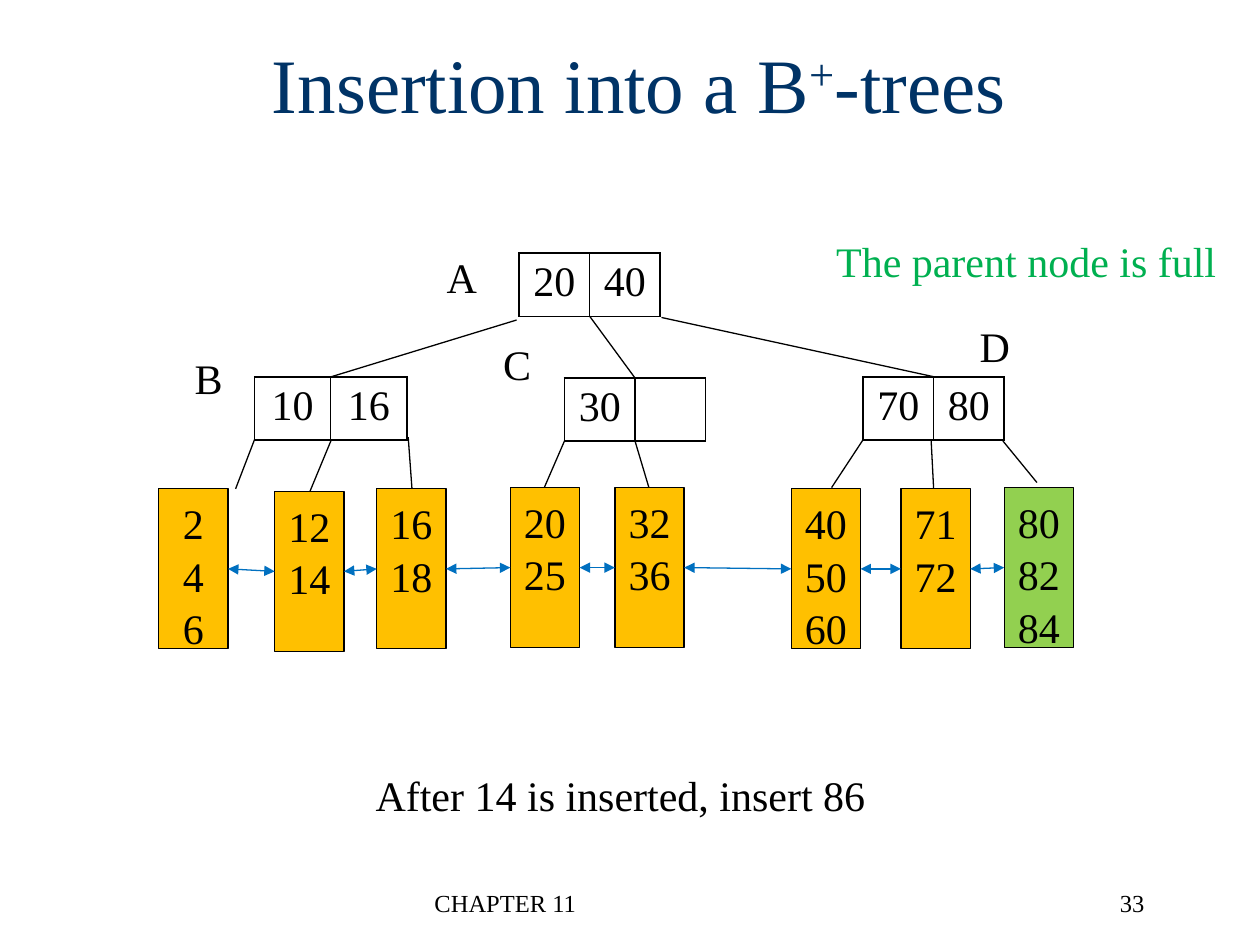
from itertools import pairwise

from lxml import etree
from pptx import Presentation
from pptx import util as u
from pptx.dml.color import RGBColor
from pptx.enum import shapes, text
from pptx.oxml import ns

COLORS = {"ink": "000000", "title": "003366", "paper": "FFFFFF", "leaf": "FFC000",
          "new_leaf": "92D050", "chain": "0070C0", "remark": "00B050"}
RGB = {name: RGBColor.from_string(value) for name, value in COLORS.items()}
LEFT, CENTER, RIGHT = text.PP_ALIGN.LEFT, text.PP_ALIGN.CENTER, text.PP_ALIGN.RIGHT

prs = Presentation()
prs.slide_width, prs.slide_height = u.Inches(10), u.Inches(7.5)
slide = prs.slides.add_slide(prs.slide_layouts[6])

# The slide is a grid of 100 columns by 75 rows of square cells.
CELL = prs.slide_width // 100


def write(paragraph, words, size=24, color="ink", align=CENTER):
    """Add one run in the slide's typeface and return it."""
    paragraph.alignment = align
    run = paragraph.add_run()
    run.text = words
    run.font.name = "Times New Roman"
    run.font.size = u.Pt(size)
    run.font.color.rgb = RGB[color]
    return run


def connect(x1, y1, x2, y2, color="ink", arrows=False):
    line = slide.shapes.add_connector(
        shapes.MSO_CONNECTOR.STRAIGHT, *(int(v * CELL) for v in (x1, y1, x2, y2)))
    line.line.color.rgb = RGB[color]
    line.line.width = u.Pt(0.75)
    if arrows:
        for end in ("a:headEnd", "a:tailEnd"):
            etree.SubElement(line.line._get_or_add_ln(), ns.qn(end), type="triangle")
    etree.SubElement(line._element.spPr, ns.qn("a:effectLst"))


# Title
title = slide.shapes.add_textbox(*(int(v * CELL) for v in (6.4, 0.3, 88.6, 12.5))).text_frame
title.word_wrap = True
title.vertical_anchor = text.MSO_ANCHOR.MIDDLE
for part, baseline in (("Insertion into a B", 0), ("+", 30000), ("-trees", 0)):
    run = write(title.paragraphs[0], part, 44, "title")
    if baseline:
        run.font._element.set("baseline", str(baseline))

# Node names, remarks and footer
for words, x, y, w, size, color, align in (
        ("A", 34.4, 19.3, 4.5, 24, "ink", CENTER),
        ("B", 14.4, 27.3, 4.3, 24, "ink", CENTER),
        ("C", 38.9, 26.2, 4.3, 24, "ink", CENTER),
        ("D", 76.7, 24.7, 4.5, 24, "ink", CENTER),
        ("The parent node is full", 65.2, 18, 32.5, 24, "remark", CENTER),
        ("After 14 is inserted, insert 86", 28.6, 60.4, 41.3, 24, "ink", CENTER),
        ("CHAPTER 11", 33.5, 69.8, 31.7, 14, "ink", LEFT),
        ("33", 71, 69.8, 20.8, 14, "ink", RIGHT)):
    frame = slide.shapes.add_textbox(*(int(v * CELL) for v in (x, y, w, 5))).text_frame
    frame.word_wrap = True
    frame.margin_top = int(0.7 * CELL)
    write(frame.paragraphs[0], words, size, color, align)

# Inner nodes: one row of two keys each
for keys, x, y, w, h in ((("20", "40"), 41.2, 20.1, 11.2, 4.7),
                         (("10", "16"), 20.2, 29.9, 12.1, 4.7),
                         (("30", ""), 44.8, 30, 11.2, 5),
                         (("70", "80"), 68.5, 29.9, 11.2, 4.7)):
    node = slide.shapes.add_table(1, 2, *(int(v * CELL) for v in (x, y, w, h))).table
    node.first_row = node.horz_banding = False
    for cell, key in zip(node.iter_cells(), keys):
        for side in ("a:lnL", "a:lnR", "a:lnT", "a:lnB"):
            border = etree.SubElement(cell._tc.get_or_add_tcPr(), ns.qn(side),
                                      w=str(u.Pt(1)))
            ink = etree.SubElement(border, ns.qn("a:solidFill"))
            etree.SubElement(ink, ns.qn("a:srgbClr"), val=COLORS["ink"])
        cell.fill.solid()
        cell.fill.fore_color.rgb = RGB["paper"]
        if key:
            write(cell.text_frame.paragraphs[0], key)

# Edges from parent to child
for edge in ((41, 25.4, 26.3, 29.9), (46.8, 25.1, 50.4, 30), (52.5, 25.2, 74.1, 29.9),
             (20.2, 34.9, 18.7, 38.8), (26.3, 34.9, 24.6, 39), (32.4, 34.7, 32.7, 38.8),
             (44.8, 35, 43.2, 38.7), (50.4, 35, 51.5, 38.7),
             (68.5, 34.9, 66, 38.7), (73.9, 34.9, 74.1, 38.8), (79.6, 35, 82.3, 38.3)):
    connect(*edge)

# Leaves, chained from left to right
LEAF_W, LEAF_H = 5.5, 12.7
leaves = ((12.6, 38.8, "2 4 6"), (21.8, 39, "12 14"), (29.9, 38.8, "16 18"),
          (40.5, 38.7, "20 25"), (48.8, 38.7, "32 36"), (62.8, 38.8, "40 50 60"),
          (71.5, 38.8, "71 72"), (79.7, 38.7, "80 82 84"))
for x, y, keys in leaves:
    leaf = slide.shapes.add_shape(shapes.MSO_SHAPE.RECTANGLE,
                                  *(int(v * CELL) for v in (x, y, LEAF_W, LEAF_H)))
    leaf.shadow.inherit = False
    leaf.fill.solid()
    leaf.fill.fore_color.rgb = RGB["new_leaf" if (x, y, keys) == leaves[-1] else "leaf"]
    leaf.line.color.rgb = RGB["ink"]
    leaf.line.width = u.Pt(0.75)
    frame = leaf.text_frame
    frame.word_wrap = False
    frame.vertical_anchor = text.MSO_ANCHOR.TOP
    frame.margin_top, frame.margin_bottom = int(0.7 * CELL), 0
    for row, key in enumerate(keys.split()):
        paragraph = frame.add_paragraph() if row else frame.paragraphs[0]
        if row:
            paragraph.space_before = u.Pt(1.2)
        write(paragraph, key)

for (x1, y1, _), (x2, y2, _) in pairwise(leaves):
    connect(x1 + LEAF_W, y1 + LEAF_H / 2, x2, y2 + LEAF_H / 2, "chain", arrows=True)

prs.save("out.pptx")
